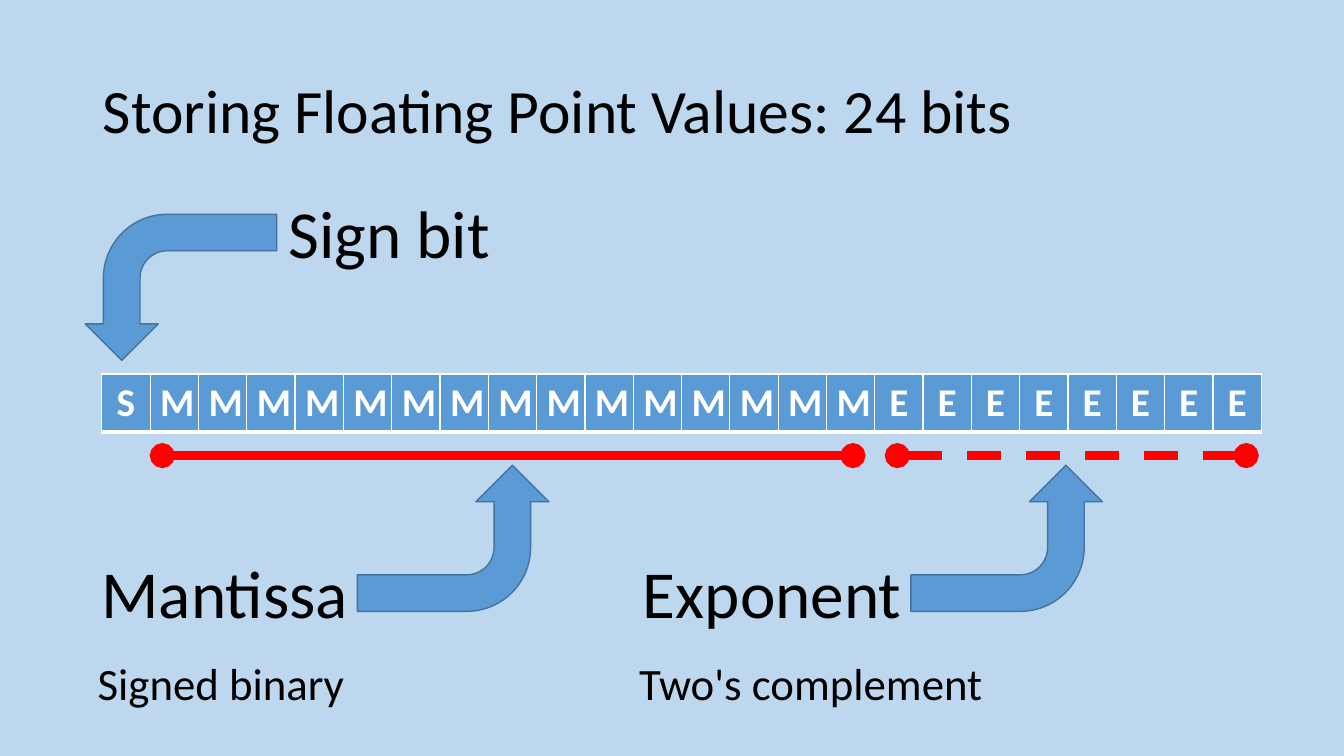
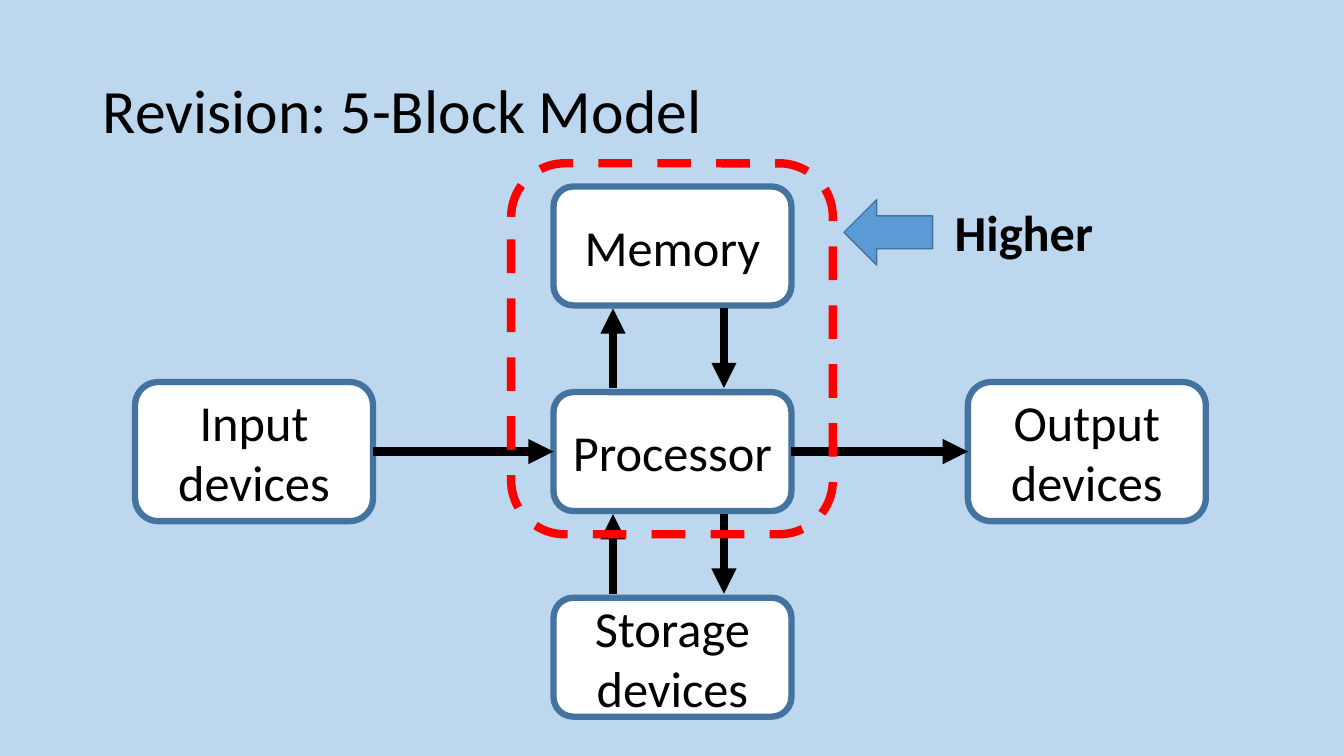
from lxml import etree
from pptx import Presentation
from pptx.dml.color import RGBColor
from pptx.enum.dml import MSO_LINE
from pptx.enum.shapes import MSO_CONNECTOR, MSO_SHAPE
from pptx.enum.text import MSO_ANCHOR, MSO_AUTO_SIZE, PP_ALIGN
from pptx.oxml.ns import qn
from pptx.util import Inches, Pt

ROUNDED = MSO_SHAPE.ROUNDED_RECTANGLE
BENT_ARROW = MSO_SHAPE.BENT_ARROW
LEFT_ARROW = MSO_SHAPE.LEFT_ARROW
STRAIGHT = MSO_CONNECTOR.STRAIGHT
DASH = MSO_LINE.DASH
LEFT, CENTER, RIGHT = PP_ALIGN.LEFT, PP_ALIGN.CENTER, PP_ALIGN.RIGHT
MIDDLE = MSO_ANCHOR.MIDDLE
GROW = MSO_AUTO_SIZE.SHAPE_TO_FIT_TEXT
TITLE_ONLY = 5
FONT = "Calibri"
COLORS = {
    "background": "BDD7EE",
    "accent": "5B9BD5",
    "outline": "43739E",
    "mark": "FF0000",
    "ink": "000000",
    "paper": "FFFFFF",
}


def color(name):
    return RGBColor.from_string(COLORS[name])


class Lesson:
    """Holds the deck, its shared style and the current page."""

    def __init__(self):
        self.deck = Presentation()
        self.deck.slide_width, self.deck.slide_height = Inches(13.33), Inches(7.5)
        fill = self.deck.slide_master.background.fill
        fill.solid()
        fill.fore_color.rgb = color("background")
        self.page = None

    def add_page(self, title):
        self.page = self.deck.slides.add_slide(self.deck.slide_layouts[TITLE_ONLY])
        box = self.page.shapes.title
        box.left, box.top = Inches(0.92), Inches(0.4)
        box.width, box.height = Inches(11.5), Inches(1.45)
        box.text_frame.vertical_anchor = MIDDLE
        self.set_text(box.text_frame, title, 44)
        box.text_frame.paragraphs[0].line_spacing = 0.9

    def set_text(self, frame, text, size, align=LEFT, ink="ink", bold=False):
        frame.text = text
        para = frame.paragraphs[0]
        para.alignment = align
        para.font.name, para.font.size, para.font.bold = FONT, Pt(size), bold
        para.font.color.rgb = color(ink)

    def label(self, text, left, top, width, height, size, align=LEFT, bold=False, wrap=False):
        box = self.page.shapes.add_textbox(*map(Inches, (left, top, width, height)))
        box.text_frame.word_wrap = wrap
        box.text_frame.auto_size = GROW
        self.set_text(box.text_frame, text, size, align, bold=bold)

    def shape(self, kind, left, top, width, height, fill="accent", line="outline", weight=1):
        shape = self.page.shapes.add_shape(kind, *map(Inches, (left, top, width, height)))
        shape.shadow.inherit = False
        if fill:
            shape.fill.solid()
            shape.fill.fore_color.rgb = color(fill)
        else:
            shape.fill.background()
        shape.line.color.rgb = color(line)
        shape.line.width = Pt(weight)
        return shape

    def bent_arrow(self, left, top, rotation):
        arrow = self.shape(BENT_ARROW, left, top, 1.45, 1.9)
        arrow.rotation = rotation
        arrow._element.spPr.find(qn("a:xfrm")).set("flipH", "1")

    def block(self, text, left, top, width, height):
        block = self.shape(ROUNDED, left, top, width, height, "paper", weight=4.5)
        block.text_frame.word_wrap = True
        block.text_frame.vertical_anchor = MIDDLE
        self.set_text(block.text_frame, text, 36, CENTER)

    def line(self, x1, y1, x2, y2, ink="ink", head=None, tail="triangle", dashed=False):
        line = self.page.shapes.add_connector(STRAIGHT, *map(Inches, (x1, y1, x2, y2)))
        line.line.color.rgb = color(ink)
        line.line.width = Pt(6)
        if dashed:
            line.line.dash_style = DASH
        properties = line._element.spPr
        outline = properties.find(qn("a:ln"))
        for tag, end in (("a:headEnd", head), ("a:tailEnd", tail)):
            if end:
                etree.SubElement(outline, qn(tag), type=end)
        etree.SubElement(properties, qn("a:effectLst"))

    def bit_table(self, bits, left, top, width, height):
        table = self.page.shapes.add_table(
            1, len(bits), *map(Inches, (left, top, width, height))).table
        for cell, bit in zip(table.iter_cells(), bits):
            cell.fill.solid()
            cell.fill.fore_color.rgb = color("accent")
            self.set_text(cell.text_frame, bit, 28, CENTER, "paper", True)
            self.cell_borders(cell)

    def cell_borders(self, cell):
        properties = cell._tc.get_or_add_tcPr()
        for index, (side, weight) in enumerate(zip("LRTB", (1, 1, 1, 3))):
            border = etree.Element(qn("a:ln" + side), w=str(Pt(weight)))
            fill = etree.SubElement(border, qn("a:solidFill"))
            etree.SubElement(fill, qn("a:srgbClr"), val=COLORS["paper"])
            properties.insert(index, border)


def floating_point_page(lesson):
    lesson.add_page("Storing Floating Point Values: 24 bits")
    lesson.bit_table("S" + "M" * 15 + "E" * 8, 1.01, 3.71, 11.5, 0.57)
    lesson.bent_arrow(1.07, 1.9, 270)
    lesson.label("Sign bit", 2.76, 1.85, 2.22, 0.91, 48)
    parts = (
        ("Mantissa", "Signed binary", 0.87, 2.68, 3.2, 3.77, 1.61, 8.46, False),
        ("Exponent", "Two's complement", 6.24, 2.8, 3.73, 9.26, 8.9, 12.36, True),
    )
    for name, coding, left, width, coding_width, arrow, start, end, dashed in parts:
        lesson.line(start, 4.52, end, 4.52, "mark", "oval", "oval", dashed)
        lesson.label(name, left, 5.42, width, 0.91, 48, RIGHT)
        lesson.bent_arrow(arrow, 4.39, 90)
        lesson.label(coding, left, 6.46, coding_width, 0.64, 32, wrap=True)


def block_model_page(lesson):
    lesson.add_page("Revision: 5-Block Model")
    width, height, column, first_row, pitch = 2.36, 1.18, 5.49, 1.85, 2.04
    for row, name in enumerate(("Memory", "Processor", "Storage devices")):
        lesson.block(name, column, first_row + row * pitch, width, height)
    for name, left in (("Input devices", 1.34), ("Output devices", 9.6)):
        lesson.block(name, left, 3.79, width, 1.38)
    for start, end in ((3.7, column), (column + width, 9.6)):
        lesson.line(start, 4.48, end, 4.48)
    for row in range(2):
        upper = first_row + row * pitch + height + 0.03
        lower = upper + 0.79
        lesson.line(6.08, lower, 6.08, upper)
        lesson.line(7.18, upper, 7.18, lower)
    frame = lesson.shape(ROUNDED, 5.07, 1.62, 3.19, 3.68, None, "mark", 6)
    frame.line.dash_style = DASH
    lesson.shape(LEFT_ARROW, 8.37, 1.98, 0.88, 0.65)
    lesson.label("Higher", 9.37, 1.95, 1.59, 0.71, 36, bold=True)


def main():
    lesson = Lesson()
    floating_point_page(lesson)
    block_model_page(lesson)
    lesson.deck.save("out.pptx")


if __name__ == "__main__":
    main()
